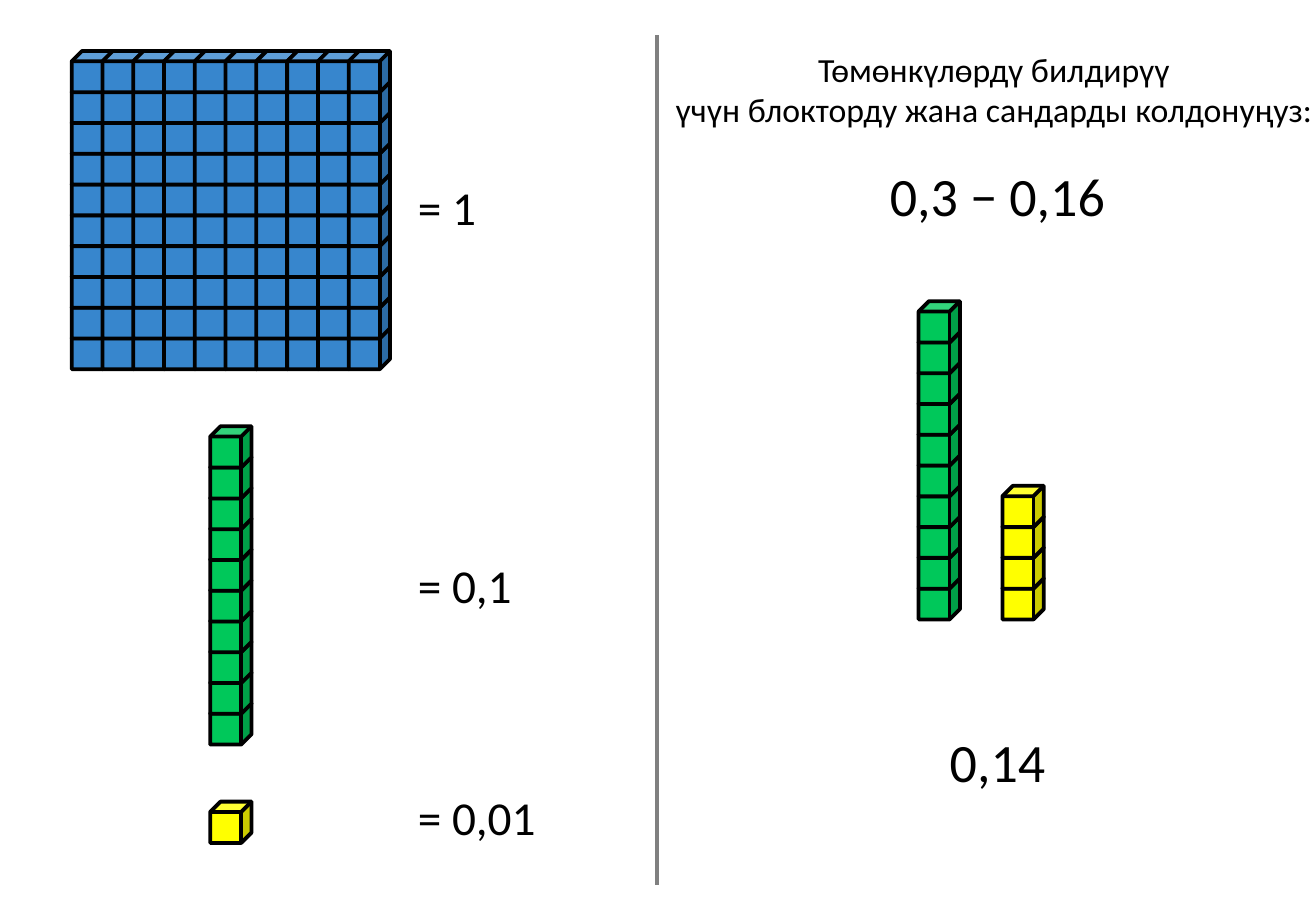
from lxml import etree
from pptx import Presentation
from pptx.dml.color import RGBColor
from pptx.enum.shapes import MSO_CONNECTOR, MSO_SHAPE
from pptx.enum.text import MSO_AUTO_SIZE, PP_ALIGN
from pptx.oxml.ns import qn
from pptx.util import Inches, Pt

CUBE = MSO_SHAPE.CUBE
STRAIGHT = MSO_CONNECTOR.STRAIGHT
LEFT, CENTER = PP_ALIGN.LEFT, PP_ALIGN.CENTER
FIT_SHAPE = MSO_AUTO_SIZE.SHAPE_TO_FIT_TEXT

BLUE = RGBColor(0x37, 0x86, 0xCD)
GREEN = RGBColor(0x00, 0xC8, 0x5A)
YELLOW = RGBColor(0xFF, 0xFF, 0x00)
BLACK = RGBColor(0x00, 0x00, 0x00)
GRAY = RGBColor(0x80, 0x80, 0x80)
FONT = "Calibri"
LINE_WIDTH = Pt(2.25)

# Blocks: left and top of the lowest left cube, columns, rows, colour
BLOCKS = [
    (0.59, 2.7, 10, 10, BLUE),
    (1.73, 5.79, 1, 10, GREEN),
    (1.73, 6.6, 1, 1, YELLOW),
    (7.56, 4.76, 1, 10, GREEN),
    (8.25, 4.76, 1, 4, YELLOW),
]
CUBE_SIZE = 0.34
PITCH = 2.28 / 9  # the front face of a cube

# Texts: lines, box (left, top, width, height), size, alignment
TEXTS = [
    (["= 1"], (3.34, 1.42, 0.69, 0.57), 28, LEFT),
    (["= 0,1"], (3.34, 4.53, 0.99, 0.57), 28, LEFT),
    (["= 0,01"], (3.34, 6.44, 1.19, 0.57), 28, LEFT),
    (["Төмөнкүлөрдү билдирүү", "үчүн блокторду жана сандарды колдонуңуз:"],
     (5.44, 0.35, 5.48, 0.77), 20, CENTER),
    (["0,3 − 0,16"], (7.21, 1.29, 2, 0.64), 32, CENTER),
    (["0,14"], (7.71, 5.95, 1, 0.64), 32, CENTER),
]
DIVIDER_X, DIVIDER_TOP, DIVIDER_BOTTOM = 5.41, 0.29, 7.29


def add_block(slide, left, bottom, columns, rows, color):
    """Stack cubes column by column, from the bottom up."""
    single = columns * rows == 1
    shapes = slide.shapes if single else slide.shapes.add_group_shape().shapes
    for column in range(columns):
        for row in range(rows):
            cube = shapes.add_shape(
                CUBE, Inches(left + column * PITCH), Inches(bottom - row * PITCH),
                Inches(CUBE_SIZE), Inches(CUBE_SIZE))
            cube.shadow.inherit = False
            cube.fill.solid()
            cube.fill.fore_color.rgb = color
            cube.line.color.rgb = BLACK
            cube.line.width = LINE_WIDTH


def add_text(slide, lines, box, *, size, align):
    frame = slide.shapes.add_textbox(*map(Inches, box)).text_frame
    frame.word_wrap = False
    frame.auto_size = FIT_SHAPE
    frame.text = "\n".join(lines)
    for paragraph in frame.paragraphs:
        paragraph.alignment = align
        paragraph.font.name = FONT
        paragraph.font.size = Pt(size)
        paragraph.font.color.rgb = BLACK


def add_divider(slide):
    divider = slide.shapes.add_connector(
        STRAIGHT, Inches(DIVIDER_X), Inches(DIVIDER_TOP),
        Inches(DIVIDER_X), Inches(DIVIDER_BOTTOM))
    divider.line.color.rgb = GRAY
    divider.line.width = LINE_WIDTH
    etree.SubElement(divider._element.spPr, qn("a:effectLst"))


def main():
    presentation = Presentation()
    presentation.slide_width = Inches(10.83)
    presentation.slide_height = Inches(7.5)
    slide = presentation.slides.add_slide(presentation.slide_layouts[6])

    for block in BLOCKS:
        add_block(slide, *block)
    add_divider(slide)
    for lines, box, size, align in TEXTS:
        add_text(slide, lines, box, size=size, align=align)

    presentation.save("out.pptx")


if __name__ == "__main__":
    main()
